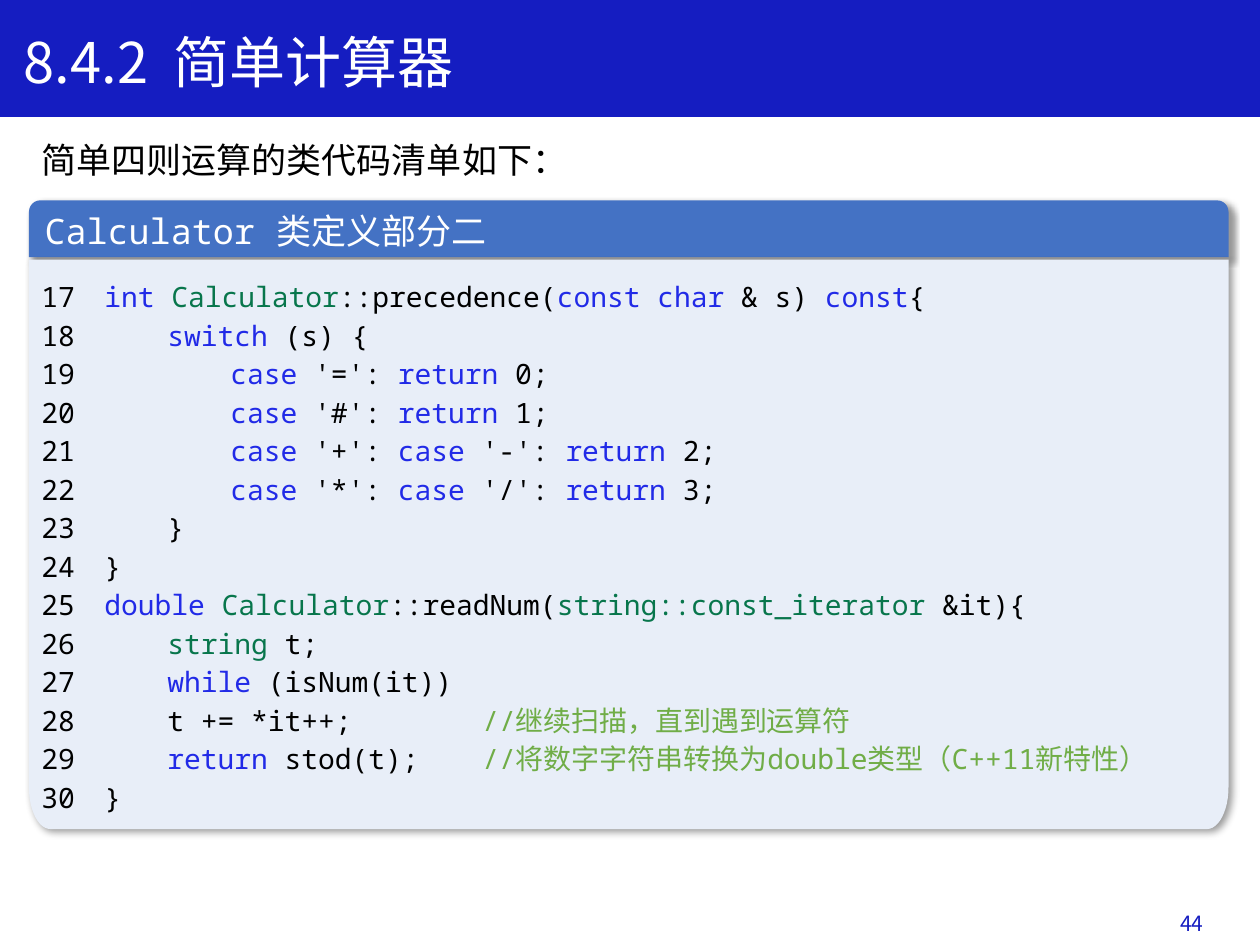
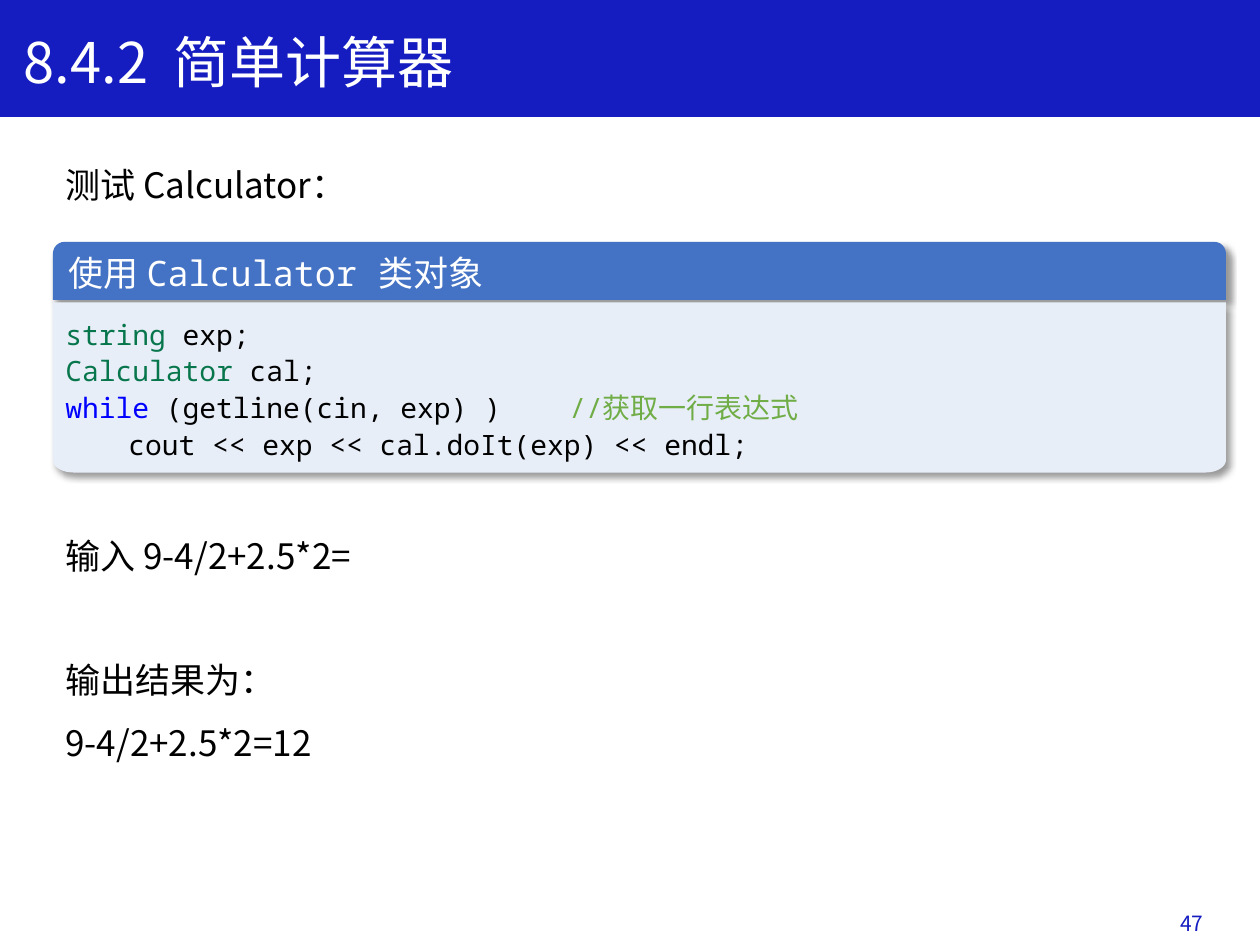
from math import cos, pi, sin

from lxml.etree import SubElement
from pptx import Presentation
from pptx.dml.color import RGBColor
from pptx.enum.shapes import MSO_SHAPE
from pptx.enum.text import MSO_ANCHOR, MSO_AUTO_SIZE, PP_ALIGN
from pptx.oxml.ns import qn
from pptx.util import Pt

PX = 9144
NAVY = RGBColor(0x15, 0x1D, 0xC1)
WHITE = RGBColor(0xFF, 0xFF, 0xFF)
BLACK = RGBColor(0x00, 0x00, 0x00)
HEADER_BLUE = RGBColor(0x44, 0x72, 0xC4)
PANEL = RGBColor(0xE8, 0xEE, 0xF8)
KEYWORD = RGBColor(0x21, 0x2A, 0xE7)
LOOP = RGBColor(0x00, 0x00, 0xFF)
TYPE = RGBColor(0x08, 0x76, 0x4C)
COMMENT = RGBColor(0x70, 0xAD, 0x47)
SANS = "Noto Sans CJK SC"
MONO = "Noto Sans Mono"
TITLE = "8.4.2  简单计算器"
TAB_WIDTH = 50
TAB_COUNT = 8
CORNER_STEPS = 12

CLASS_LINES = [
    [("int ", KEYWORD), ("Calculator", TYPE), ("::precedence(", BLACK),
     ("const char ", KEYWORD), ("& s) ", BLACK), ("const", KEYWORD), ("{", BLACK)],
    [("\t", BLACK), ("switch", KEYWORD), (" (s) {", BLACK)],
    [("\t\t", BLACK), ("case ", KEYWORD), ("'=': ", BLACK), ("return", KEYWORD), (" 0;", BLACK)],
    [("\t\t", BLACK), ("case ", KEYWORD), ("'#': ", BLACK), ("return", KEYWORD), (" 1;", BLACK)],
    [("\t\t", BLACK), ("case ", KEYWORD), ("'+': ", BLACK), ("case ", KEYWORD),
     ("'-': ", BLACK), ("return", KEYWORD), (" 2;", BLACK)],
    [("\t\t", BLACK), ("case ", KEYWORD), ("'*': ", BLACK), ("case ", KEYWORD),
     ("'/': ", BLACK), ("return ", KEYWORD), ("3;", BLACK)],
    [("\t}", BLACK)],
    [("}", BLACK)],
    [("double ", KEYWORD), ("Calculator", TYPE), ("::readNum(", BLACK),
     ("string::const_iterator ", TYPE), ("&it){", BLACK)],
    [("\t", BLACK), ("string", TYPE), (" t;", BLACK)],
    [("\t", BLACK), ("while", KEYWORD), (" (isNum(it))", BLACK)],
    [("\tt += *it++; \t\t", BLACK), ("//继续扫描，直到遇到运算符", COMMENT)],
    [("\t", BLACK), ("return ", KEYWORD), ("stod(t); \t", BLACK),
     ("//将数字字符串转换为double类型（C++11新特性）", COMMENT)],
    [("}", BLACK)],
]
NUMBERED_LINES = [[(f"{number} \t", BLACK)] + line for number, line in enumerate(CLASS_LINES, 17)]
USAGE_LINES = [
    [("string", TYPE), (" exp;", BLACK)],
    [("Calculator ", TYPE), ("cal;", BLACK)],
    [("while", LOOP), (" (getline(cin, exp) ) \t", BLACK), ("//获取一行表达式", COMMENT)],
    [("\tcout << exp << cal.doIt(exp) << endl;", BLACK)],
]

PAGES = [
    {
        "number": "44",
        "texts": [((23, 105, 942, 44), ["简单四则运算的类代码清单如下："], None)],
        "header": ((23, 159, 952, 45), "Calculator 类定义部分二"),
        "body": ((23, 206, 952, 452), (17, 33), NUMBERED_LINES, Pt(22)),
    },
    {
        "number": "47",
        "texts": [
            ((42, 125, 815, 44), ["测试 Calculator："], None),
            ((42, 501, 500, 105), ["输出结果为：", "9-4/2+2.5*2=12"], 1.5),
            ((42, 419, 269, 44), ["输入 9-4/2+2.5*2="], None),
        ],
        "header": ((42, 192, 931, 46), "使用 Calculator 类对象"),
        "body": ((42, 240, 931, 135), (16, 10), USAGE_LINES, Pt(21)),
    },
]


def write(shape, lines, size, font, anchor=MSO_ANCHOR.TOP, align=PP_ALIGN.LEFT, spacing=None):
    frame = shape.text_frame
    frame.word_wrap = True
    frame.vertical_anchor = anchor
    frame.text = "\n" * (len(lines) - 1)
    for para, line in zip(frame.paragraphs, lines):
        para.alignment = align
        para.line_spacing = spacing
        for text, color in line:
            span = para.add_run()
            span.text = text
            span.font.size = Pt(size)
            span.font.name = font
            span.font.color.rgb = color
            SubElement(span.font._element, qn("a:ea"), typeface=SANS)
        if any("\t" in text for text, color in line):
            tabs = SubElement(para._p.get_or_add_pPr(), qn("a:tabLst"))
            for stop in range(1, TAB_COUNT + 1):
                SubElement(tabs, qn("a:tab"), pos=str(stop * TAB_WIDTH * PX), algn="l")


def paint(shape, color):
    shape.fill.solid()
    shape.fill.fore_color.rgb = color
    shape.line.fill.background()
    shape.shadow.inherit = False
    effects = shape._element.spPr.find(qn("a:effectLst"))
    shadow = SubElement(effects, qn("a:outerShdw"), blurRad=str(Pt(4)), dist=str(Pt(3)),
                        dir="2700000", algn="tl", rotWithShape="0")
    tint = SubElement(shadow, qn("a:srgbClr"), val="000000")
    SubElement(tint, qn("a:alpha"), val="40000")


deck = Presentation()
deck.slide_width = 1000 * PX
deck.slide_height = 750 * PX

for content in PAGES:
    page = deck.slides.add_slide(deck.slide_layouts[6])
    band = page.shapes.add_shape(MSO_SHAPE.RECTANGLE, 0, 0, 1000 * PX, 92 * PX)
    band.fill.solid()
    band.fill.fore_color.rgb = NAVY
    band.line.color.rgb = NAVY
    band.line.width = Pt(1)
    band.shadow.inherit = False

    page_number = page.shapes.add_textbox(740 * PX, 713 * PX, 225 * PX, 40 * PX)
    write(page_number, [[(content["number"], NAVY)]], 12, SANS, MSO_ANCHOR.MIDDLE, PP_ALIGN.RIGHT)

    title = page.shapes.add_textbox(9 * PX, 17 * PX, 931 * PX, 64 * PX)
    write(title, [[(TITLE, WHITE)]], 32, SANS)
    title.text_frame.auto_size = MSO_AUTO_SIZE.SHAPE_TO_FIT_TEXT

    for place, lines, spacing in content["texts"]:
        box = page.shapes.add_textbox(*[length * PX for length in place])
        write(box, [[(line, BLACK)] for line in lines], 20, SANS, spacing=spacing)
        box.text_frame.auto_size = MSO_AUTO_SIZE.SHAPE_TO_FIT_TEXT

    panel = page.shapes.add_group_shape()
    place, heading = content["header"]
    header = panel.shapes.add_shape(MSO_SHAPE.ROUND_2_SAME_RECTANGLE, *[length * PX for length in place])
    header.adjustments[0] = 0.2
    header.adjustments[1] = 0
    paint(header, HEADER_BLUE)
    write(header, [[(heading, WHITE)]], 20, MONO, MSO_ANCHOR.MIDDLE)

    (left, top, width, height), (radius_x, radius_y), lines, spacing = content["body"]
    right, bottom = left + width, top + height
    angles = [step * pi / 2 / CORNER_STEPS for step in range(CORNER_STEPS + 1)]
    outline = [(right, top)]
    outline += [(right - radius_x * (1 - cos(angle)), bottom - radius_y * (1 - sin(angle)))
                for angle in angles]
    outline += [(left + radius_x * (1 - sin(angle)), bottom - radius_y * (1 - cos(angle)))
                for angle in angles]
    builder = panel.shapes.build_freeform(left * PX, top * PX)
    builder.add_line_segments([(round(x * PX), round(y * PX)) for x, y in outline], close=True)
    body = builder.convert_to_shape()
    paint(body, PANEL)
    write(body, lines, 16, MONO, MSO_ANCHOR.MIDDLE, spacing=spacing)

deck.save("out.pptx")
